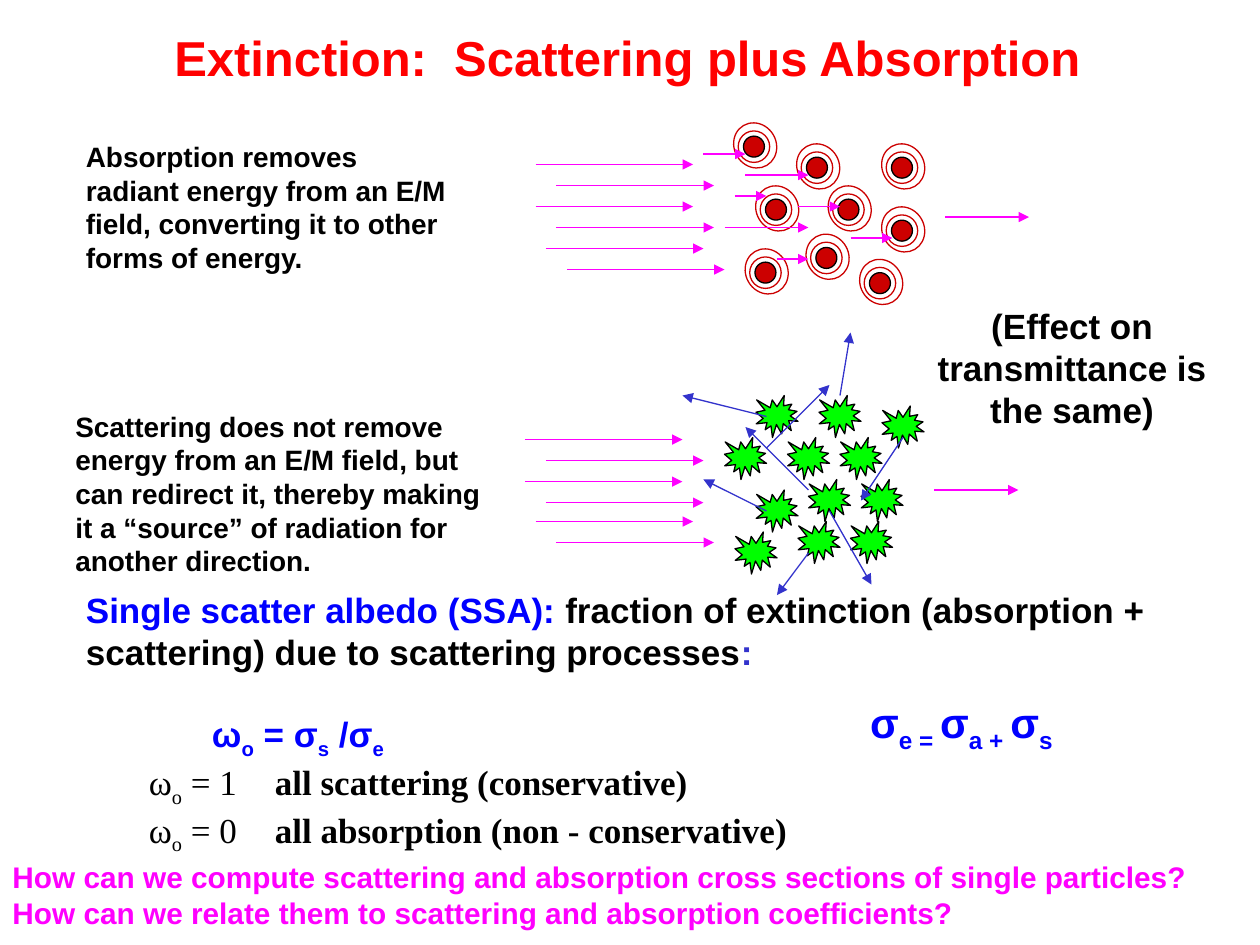
from lxml.etree import SubElement
from pptx import Presentation
from pptx.dml.color import RGBColor
from pptx.enum.shapes import MSO_CONNECTOR, MSO_SHAPE
from pptx.enum.text import MSO_ANCHOR, MSO_AUTO_SIZE, PP_ALIGN
from pptx.oxml.ns import qn
from pptx.util import Inches, Pt

BLACK, RED, CRIMSON, GREEN = "000000", "FF0000", "CC0000", "00FF00"
BLUE, INDIGO, MAGENTA = "0000FF", "3333CC", "FF00FF"


def color(value):
    return RGBColor.from_string(value)


def write(paragraph, text, size=20, font="Arial", fill=BLACK, bold=True):
    for index, part in enumerate(text.split("_")):
        if not part:
            continue
        run = paragraph.add_run()
        run.text = part
        run.font.size = Pt(size)
        run.font.name = font
        run.font.bold = bold
        run.font.color.rgb = color(fill)
        if index % 2:
            run._r.get_or_add_rPr().set("baseline", "-25000")


class Diagram:
    columns_per_inch = 12
    row_offset = 0.67
    line_width = Pt(0.75)

    def __init__(self, slide):
        self.slide = slide
        self.shapes = slide.shapes

    def length(self, cells):
        return Inches(cells / self.columns_per_inch)

    def point(self, column, row):
        return self.length(column), self.length(row + self.row_offset)

    def setup(self, frame, wrap=True, align=PP_ALIGN.LEFT):
        frame.word_wrap = wrap
        frame.auto_size = MSO_AUTO_SIZE.NONE
        frame.vertical_anchor = MSO_ANCHOR.TOP
        frame.paragraphs[0].alignment = align
        return frame

    def title(self, text, column, row, width, height):
        heading = self.shapes.title
        heading.left, heading.top = self.point(column, row)
        heading.width, heading.height = self.length(width), self.length(height)
        frame = self.setup(heading.text_frame, align=PP_ALIGN.CENTER)
        write(frame.paragraphs[0], text, size=28, fill=RED)

    def text(self, paragraphs, column, row, width, height, wrap=True, align=PP_ALIGN.LEFT, **style):
        box = self.shapes.add_textbox(*self.point(column, row), self.length(width), self.length(height))
        frame = self.setup(box.text_frame, wrap, align)
        for index, runs in enumerate(paragraphs):
            paragraph = frame.add_paragraph() if index else frame.paragraphs[0]
            for words, changes in runs:
                write(paragraph, words, **{**style, **changes})
        return frame

    def shape(self, kind, column, row, width, height, line, fill=None, rotation=0):
        item = self.shapes.add_shape(kind, *self.point(column, row), self.length(width), self.length(height))
        item.shadow.inherit = False
        item.rotation = rotation
        item.line.color.rgb = color(line)
        item.line.width = self.line_width
        if fill:
            item.fill.solid()
            item.fill.fore_color.rgb = color(fill)
        else:
            item.fill.background()

    def absorber(self, column, row):
        rings = [(2, 2, 0, BLACK, CRIMSON), (3, 3, 0, CRIMSON, None), (4.4, 4, 0.12, CRIMSON, None)]
        for width, height, shift, line, fill in rings:
            self.shape(MSO_SHAPE.OVAL, column + shift - width / 2, row - shift - height / 2,
                       width, height, line, fill, rotation=59.7)

    def scatterer(self, column, row):
        self.shape(MSO_SHAPE.EXPLOSION1, column, row, 4, 4, BLACK, GREEN)

    def arrow(self, start, end, line=MAGENTA):
        ray = self.shapes.add_connector(MSO_CONNECTOR.STRAIGHT, *self.point(*start), *self.point(*end))
        ray.line.color.rgb = color(line)
        ray.line.width = self.line_width
        SubElement(ray.line._get_or_add_ln(), qn("a:tailEnd"), type="triangle")
        SubElement(ray._element.spPr, qn("a:effectLst"))

    def beam(self, column, row, length=15):
        self.arrow((column, row), (column + length, row))


def main():
    deck = Presentation()
    deck.slide_width, deck.slide_height = Inches(10), Inches(7.5)
    diagram = Diagram(deck.slides.add_slide(deck.slide_layouts[5]))

    diagram.title("Extinction:  Scattering plus Absorption", -0.5, 1.37, 120.5, 6.84)

    absorbers = [(73.9, 19.3), (77.8, 15.3), (80.8, 19.3), (85.9, 15.3), (83.8, 26.3),
                 (78.7, 23.9), (85.9, 21.3), (72.9, 25.3), (71.8, 13.3)]
    for column, row in absorbers:
        diagram.absorber(column, row)

    scatterers = [(72, 37), (75, 41), (72, 46), (69, 41), (84, 38), (76, 49), (78, 37),
                  (77, 45), (70, 50), (80, 41), (82, 45), (81, 49)]
    for column, row in scatterers:
        diagram.scatterer(column, row)

    serif = {"font": "Times New Roman"}
    light = {**serif, "bold": False}
    blue = {"fill": BLUE}
    albedo = diagram.text([
        [("Single scatter albedo (SSA): ", blue),
         ("fraction of extinction (absorption + scattering) due to scattering processes", {}),
         (":", {"fill": INDIGO})],
        [("\t\tω_o_ = σ_s_ /σ_e", blue)],
        [("\tω_o_ = 1 \t", light), ("all scattering (conservative)", serif)],
        [("\tω_o_ = 0 \t", light), ("all absorption (non - conservative)", serif)],
    ], 7, 54.77, 106.2, 25.44)
    albedo.paragraphs[1].space_before = Pt(23)

    incoming_above = [(51, 15), (53, 17), (51, 19), (53, 21), (52, 23), (54, 25)]
    incoming_below = [(50, 41.2), (52, 43.2), (50, 45.2), (52, 47.2), (51, 49), (53, 51)]
    for column, row in incoming_above + incoming_below:
        diagram.beam(column, row)

    transmitted = [(90, 20, 8), (89, 46, 8)]
    absorbed = [(71, 16, 6), (76, 19, 4), (81, 22, 4), (74, 24, 3), (69, 21, 8), (70, 18, 3), (67, 14, 4)]
    for column, row, length in transmitted + absorbed:
        diagram.beam(column, row, length)

    scattered = [((77, 46), (71, 40)), ((79, 48), (83, 55)), ((77, 52), (74, 56)), ((73, 48), (67, 45)),
                 ((86, 41), (82, 47)), ((80, 37), (81, 31)), ((73, 39), (65, 37)), ((73, 42), (79, 36))]
    for start, end in scattered:
        diagram.arrow(start, end, INDIGO)

    diagram.text([[("Absorption removes radiant energy from an E/M field, converting it to other "
                    "forms of energy.", {})]], 7, 12.05, 37, 14.04, size=16)
    diagram.text([[("Scattering does not remove energy from an E/M field, but can redirect it, thereby "
                    "making it a “source” of radiation for another direction.", {})]],
                 6, 37.73, 42, 17.4, size=16)
    diagram.text([[("(Effect on transmittance is the same)", {})]],
                 88, 27.77, 28.2, 13.32, align=PP_ALIGN.CENTER)
    diagram.text([[("σ_e = _σ_a + _σ_s", {})]], 81.7, 65.09, 20.4, 6.12, wrap=False, size=24, fill=BLUE)
    diagram.text([
        [("How can we compute scattering and absorption cross sections of single particles?", {})],
        [("How can we relate them to scattering and absorption coefficients?", {})],
    ], 0, 80.57, 115.3, 8.04, wrap=False, size=17, fill=MAGENTA)

    deck.save("out.pptx")


if __name__ == "__main__":
    main()
